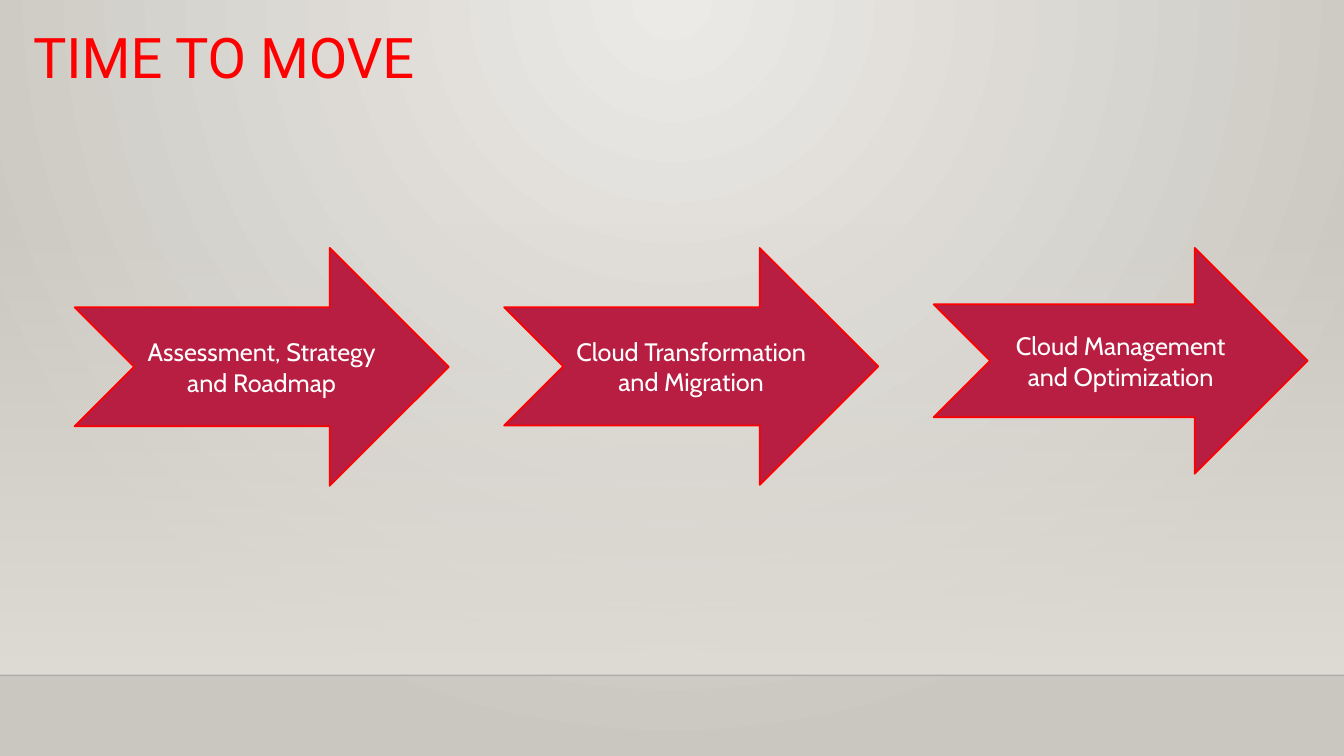
from pptx import Presentation
from pptx.dml.color import RGBColor as RGB
from pptx.enum.shapes import MSO_CONNECTOR as Conn, MSO_SHAPE as Shape
from pptx.enum.text import MSO_ANCHOR as Anchor, PP_ALIGN as Align
from pptx.oxml.ns import qn
from pptx.util import Inches, Pt
from lxml.etree import SubElement

COLORS = {
    "glow": "ECEAE7", "edge": "CAC7C1", "floor": "DFDBD5", "rule": "000001",
    "red": "FF0000", "wine": "B71E42", "white": "FFFFFF",
}


def fade(color, part):
    """Give a colour element an opacity in percent."""
    SubElement(color, qn("a:alpha")).set("val", str(part * 1000))


class Deck:
    def __init__(self, wide, high):
        self.prs = Presentation()
        self.prs.slide_width, self.prs.slide_height = Inches(wide), Inches(high)
        self.slide = self.prs.slides.add_slide(self.prs.slide_layouts[6])
        self.shapes = self.slide.shapes

    def color(self, name):
        return RGB.from_string(COLORS[name])

    def blend(self, fill, names):
        fill.gradient()
        for stop, name, place in zip(fill.gradient_stops, names, (0, 1)):
            stop.color.rgb = self.color(name)
            stop.position = place

    def backdrop(self, inner, outer):
        self.blend(self.slide.background.fill, (inner, outer))
        grad = self.slide.element.find(".//" + qn("a:gradFill"))
        grad.remove(grad.find(qn("a:lin")))
        route = SubElement(grad, qn("a:path"))
        route.set("path", "circle")
        focus = SubElement(route, qn("a:fillToRect"))
        for side, value in zip("ltrb", (43, 0, 43, 100)):
            focus.set(side, str(value * 1000))

    def box(self, kind, area):
        shape = self.shapes.add_shape(kind, *map(Inches, area))
        shape.shadow.inherit = False
        return shape

    def veil(self, area, name):
        shape = self.box(Shape.RECTANGLE, area)
        self.blend(shape.fill, (name, name))
        shape.fill.gradient_angle = 270
        fade(shape.element.find(".//" + qn("a:srgbClr")), 0)
        shape.line.fill.background()

    def rule(self, ends, name, part):
        line = self.shapes.add_connector(Conn.STRAIGHT, *map(Inches, ends))
        line.line.color.rgb = self.color(name)
        line.line.width = Pt(1)
        fade(line.element.find(".//" + qn("a:srgbClr")), part)
        SubElement(line.element.spPr, qn("a:effectLst"))

    def label(self, frame, text, font, size, name, align):
        frame.word_wrap = True
        para = frame.paragraphs[0]
        para.text, para.alignment = text, align
        para.font.name, para.font.size = font, Pt(size)
        para.font.color.rgb = self.color(name)

    def title(self, area, text):
        box = self.shapes.add_textbox(*map(Inches, area))
        self.label(box.text_frame, text, "Roboto", 40, "red", Align.LEFT)

    def arrow(self, area, text):
        shape = self.box(Shape.NOTCHED_RIGHT_ARROW, area)
        shape.fill.solid()
        shape.fill.fore_color.rgb = self.color("wine")
        shape.line.color.rgb = self.color("red")
        shape.line.width = Pt(1.25)
        shape.text_frame.vertical_anchor = Anchor.MIDDLE
        self.label(shape.text_frame, text, "Cabin", 18, "white", Align.CENTER)


def main():
    deck = Deck(13.33, 7.5)

    # Backdrop and floor line
    deck.backdrop("glow", "edge")
    deck.veil((0, 2.21, 13.33, 4.49), "floor")
    deck.rule((0, 6.7, 13.33, 6.7), "rule", 20)

    # Title
    deck.title((0.23, 0.17, 7.51, 0.77), "TIME TO MOVE")

    # Three steps, evenly spaced
    steps = [
        ("Assessment, Strategy and Roadmap", 2.36),
        ("Cloud Transformation and Migration", 2.35),
        ("Cloud Management and Optimization", 2.24),
    ]
    for i, (text, high) in enumerate(steps):
        deck.arrow((0.74 + 4.26 * i, 2.46, 3.71, high), text)

    deck.prs.save("out.pptx")


if __name__ == "__main__":
    main()
